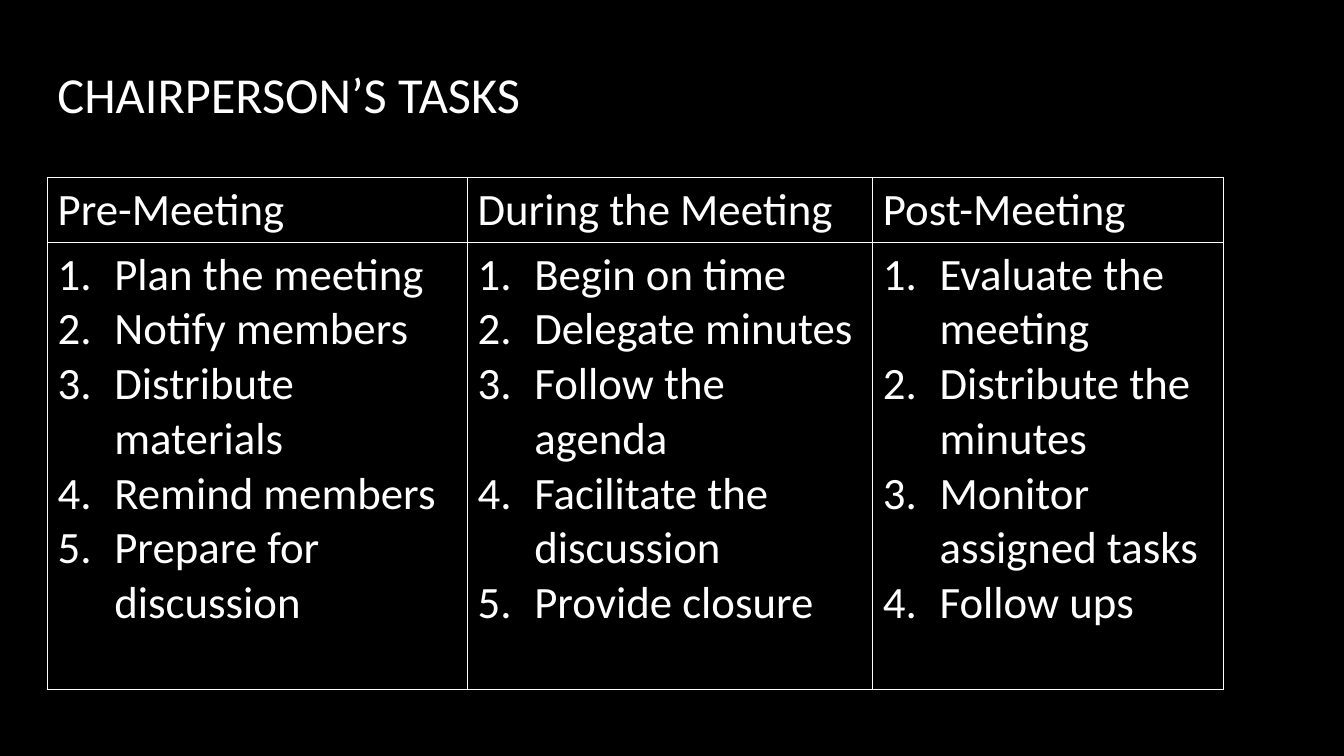
import dataclasses

import lxml.etree
import pptx
import pptx.dml.color
import pptx.enum.text
import pptx.oxml.ns
import pptx.util

Pt = pptx.util.Pt
qn = pptx.oxml.ns.qn


@dataclasses.dataclass
class Theme:
    font: str = "Calibri"
    background: str = "000000"
    ink: str = "FFFFFF"
    title_size: float = 36
    table_size: float = 32
    border_width: float = 1
    list_indent: float = 40.5


class SlideBuilder:
    def __init__(self, deck, theme):
        self.theme = theme
        self.slide = deck.slides.add_slide(deck.slide_layouts[6])
        fill = self.slide.background.fill
        fill.solid()
        fill.fore_color.rgb = self.color(theme.background)

    def color(self, value):
        return pptx.dml.color.RGBColor.from_string(value)

    def add_run(self, para, text, size):
        span = para.add_run()
        span.text = text
        span.font.name = self.theme.font
        span.font.size = Pt(size)
        span.font.bold = False
        span.font.color.rgb = self.color(self.theme.ink)

    def add_title(self, text, left, top, width, height):
        box = self.slide.shapes.add_textbox(Pt(left), Pt(top), Pt(width), Pt(height))
        frame = box.text_frame
        frame.word_wrap = True
        frame.vertical_anchor = pptx.enum.text.MSO_ANCHOR.MIDDLE
        self.add_run(frame.paragraphs[0], text, self.theme.title_size)

    def number(self, para):
        properties = para._p.get_or_add_pPr()
        indent = Pt(self.theme.list_indent)
        properties.set("marL", str(indent))
        properties.set("indent", str(-indent))
        lxml.etree.SubElement(properties, qn("a:buFont"), typeface="+mj-lt")
        lxml.etree.SubElement(properties, qn("a:buAutoNum"), type="arabicPeriod")

    def style_cell(self, cell):
        properties = cell._tc.get_or_add_tcPr()
        for side in ("lnL", "lnR", "lnT", "lnB"):
            line = lxml.etree.SubElement(
                properties, qn("a:" + side), w=str(Pt(self.theme.border_width)))
            fill = lxml.etree.SubElement(line, qn("a:solidFill"))
            lxml.etree.SubElement(fill, qn("a:srgbClr"), val=self.theme.ink)
        cell.fill.background()

    def fill_cell(self, cell, lines, numbered):
        self.style_cell(cell)
        frame = cell.text_frame
        for index, text in enumerate(lines):
            para = frame.add_paragraph() if index else frame.paragraphs[0]
            if numbered:
                self.number(para)
            self.add_run(para, text, self.theme.table_size)

    def add_task_table(self, phases, left, top, widths, heights):
        table = self.slide.shapes.add_table(
            len(heights), len(widths), Pt(left), Pt(top),
            Pt(sum(widths)), Pt(sum(heights))).table
        table.first_row = False
        table.horz_banding = False
        for row, height in zip(table.rows, heights):
            row.height = Pt(height)
        for index, (heading, tasks) in enumerate(phases.items()):
            table.columns[index].width = Pt(widths[index])
            self.fill_cell(table.cell(0, index), [heading], numbered=False)
            self.fill_cell(table.cell(1, index), tasks, numbered=True)


PHASES = {
    "Pre-Meeting": [
        "Plan the meeting", "Notify members", "Distribute materials",
        "Remind members", "Prepare for discussion"],
    "During the Meeting": [
        "Begin on time", "Delegate minutes", "Follow the agenda",
        "Facilitate the discussion", "Provide closure"],
    "Post-Meeting": [
        "Evaluate the meeting", "Distribute the minutes",
        "Monitor assigned tasks", "Follow ups"],
}


def main():
    deck = pptx.Presentation()
    deck.slide_width, deck.slide_height = Pt(960), Pt(540)
    builder = SlideBuilder(deck, Theme())

    # Heading
    builder.add_title("CHAIRPERSON’S TASKS", 34, 27.5, 798, 78)

    # Tasks by meeting phase
    builder.add_task_table(
        PHASES, 34, 126.8, widths=[300, 289.5, 250.5], heights=[46.3, 319.7])

    deck.save("out.pptx")


if __name__ == "__main__":
    main()
